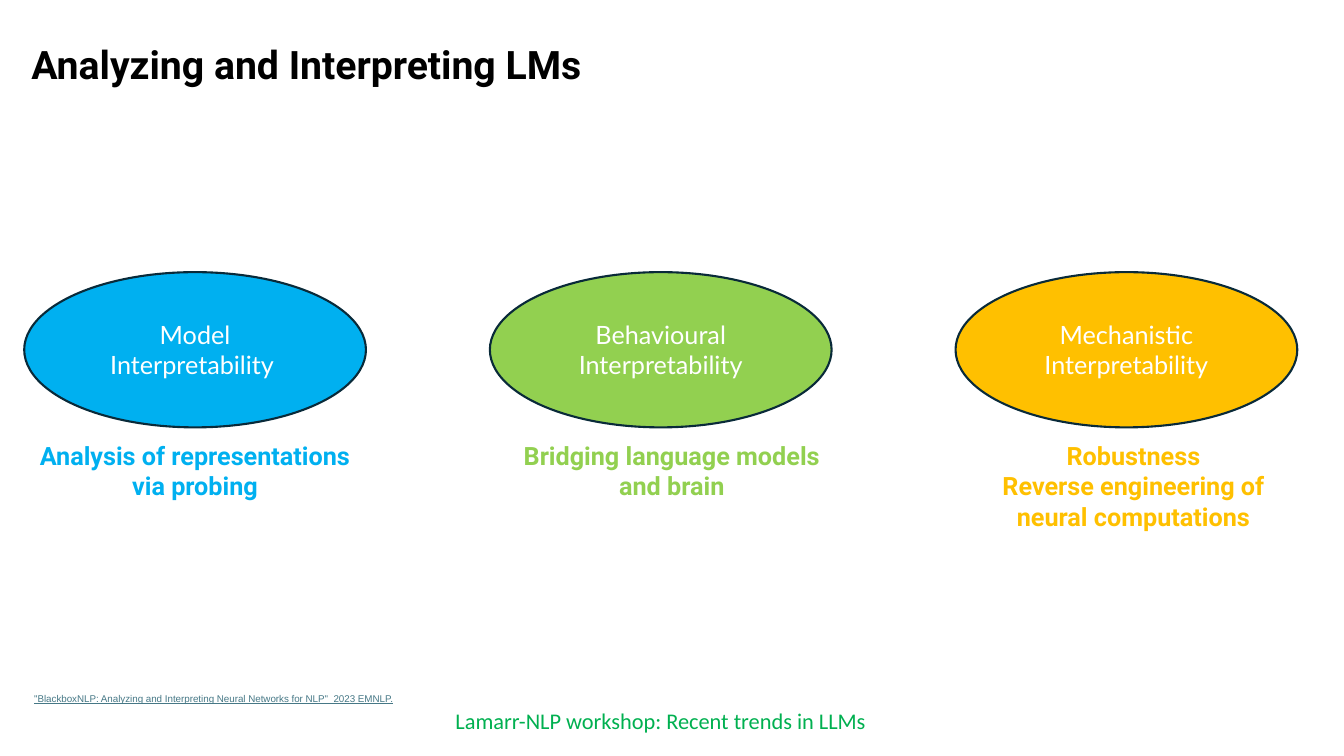
from dataclasses import dataclass

from pptx import Presentation
from pptx.dml.color import RGBColor
from pptx.enum.shapes import MSO_SHAPE
from pptx.enum.text import MSO_ANCHOR, MSO_AUTO_SIZE, PP_ALIGN
from pptx.shapes.autoshape import Shape
from pptx.slide import Slide
from pptx.util import Pt

TITLE = {"name": "Roboto", "size": Pt(28), "bold": True}
LABEL = {"name": "Lato", "size": Pt(18)}
CAPTION = {"name": "Roboto", "size": Pt(18), "bold": True}
FOOTER = {"name": "Calibri", "size": Pt(16)}
SOURCE = {"name": "Arial", "size": Pt(7), "underline": True}

LEFT, PITCH = 17.28, 332.64


@dataclass
class Topic:
    label: str
    caption: list[str]
    color: str
    left: float  # caption box


TOPICS = [
    Topic("Model Interpretability ", ["Analysis of representations via probing"], "00B0F0", 12.24),
    Topic("Behavioural Interpretability", ["Bridging language models and brain"], "92D050", 352.8),
    Topic("Mechanistic Interpretability",
          ["Robustness", "Reverse engineering of neural computations"], "FFC000", 682.56),
]


def paint(target, color: str) -> None:
    """Give a fill, line or font a solid colour from a hex string."""
    if hasattr(target, "solid"):
        target.solid()
        target = target.fore_color
    else:
        target = target.color
    target.rgb = RGBColor.from_string(color)


def write(shape: Shape, lines: list[str], style: dict, color: str,
          align: PP_ALIGN = PP_ALIGN.LEFT, anchor: MSO_ANCHOR = MSO_ANCHOR.MIDDLE,
          spacing: float = 1.0, inset: tuple[float, float] = (7.2, 3.6)) -> None:
    """Fill a shape with one paragraph per line."""
    frame = shape.text_frame
    side, edge = map(Pt, inset)
    layout = {"word_wrap": True, "auto_size": MSO_AUTO_SIZE.NONE, "vertical_anchor": anchor,
              "margin_left": side, "margin_right": side,
              "margin_top": edge, "margin_bottom": edge}
    for key, value in layout.items():
        setattr(frame, key, value)
    frame.text = "\n".join(lines)
    for para in frame.paragraphs:
        para.alignment = align
        para.line_spacing = spacing
        for run in para.runs:
            for key, value in style.items():
                setattr(run.font, key, value)
            paint(run.font, color)


def add_box(slide: Slide, left: float, top: float, width: float, height: float) -> Shape:
    return slide.shapes.add_textbox(Pt(left), Pt(top), Pt(width), Pt(height))


def add_topic(slide: Slide, index: int, topic: Topic) -> None:
    oval = slide.shapes.add_shape(MSO_SHAPE.OVAL, Pt(LEFT + index * PITCH), Pt(194.4),
                                  Pt(244.08), Pt(110.88))
    oval.shadow.inherit = False
    paint(oval.fill, topic.color)
    paint(oval.line, "092A39")
    oval.line.width = Pt(1.5)
    write(oval, [topic.label], LABEL, "FFFFFF", PP_ALIGN.CENTER)
    write(add_box(slide, topic.left, 311.04, 254.16, 38.88), topic.caption, CAPTION,
          topic.color, PP_ALIGN.CENTER, MSO_ANCHOR.TOP)


def main() -> None:
    deck = Presentation()
    deck.slide_width, deck.slide_height = Pt(960), Pt(540)
    slide = deck.slides.add_slide(deck.slide_layouts.get_by_name("Title Only"))

    title = slide.shapes.title
    place = {"left": LEFT, "top": 25.92, "width": 828, "height": 43.92}
    for key, value in place.items():
        setattr(title, key, Pt(value))
    write(title, ["Analyzing and Interpreting LMs"], TITLE, "000000",
          spacing=0.9, inset=(5.04, 2.88))

    for index, topic in enumerate(TOPICS):
        add_topic(slide, index, topic)

    write(add_box(slide, 318.24, 500.4, 352.08, 28.8),
          ["Lamarr-NLP workshop: Recent trends in LLMs"], FOOTER, "00B050")
    write(add_box(slide, LEFT, 493.2, 848.16, 13.68),
          ['"BlackboxNLP: Analyzing and Interpreting Neural Networks for NLP"  2023 EMNLP.'],
          SOURCE, "467886", anchor=MSO_ANCHOR.TOP, spacing=0.7)
    deck.save("out.pptx")


if __name__ == "__main__":
    main()
